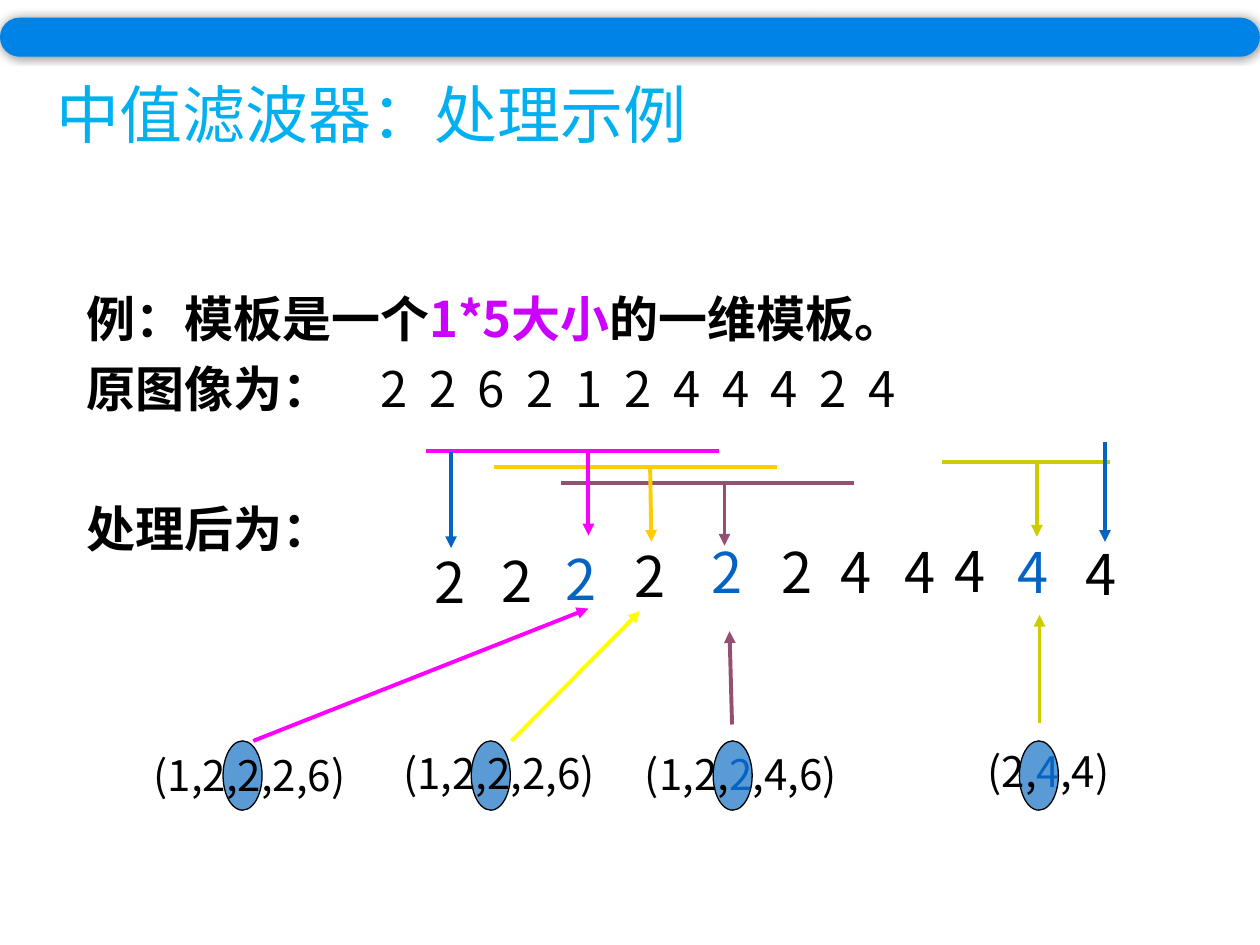
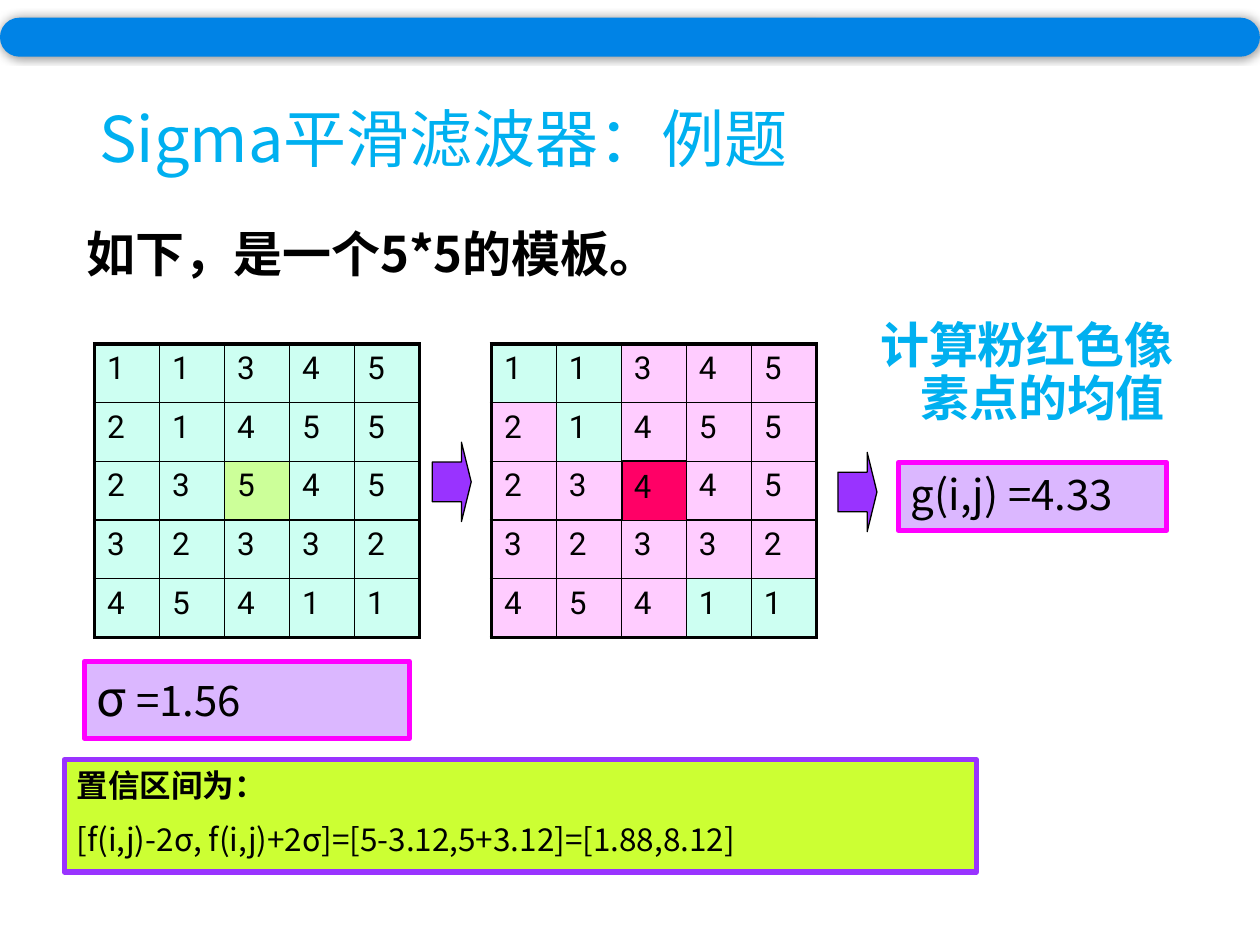
from lxml import etree
from pptx import Presentation
from pptx.dml.color import RGBColor
from pptx.enum import shapes, text
from pptx.oxml.ns import qn
from pptx.util import Inches, Pt

BLACK, SKY, BLUE = "000000", "00B0F0", "0563C1"
MAGENTA, AMBER, YELLOW = "FF00FF", "FFCC00", "FFFF00"
PLUM, OLIVE, PURPLE = "954F72", "CCCC00", "9933FF"
LILAC, MINT, PINK, LIME = "DBB7FF", "CDFFF2", "FFCCFF", "CCFF99"


def colour(code):
    return RGBColor.from_string(code)


def child(parent, tag, **attributes):
    return etree.SubElement(parent, qn(tag), attributes)


class Deck:
    font = "Noto Sans CJK SC"

    def __init__(self):
        self.prs = Presentation()
        self.prs.slide_width, self.prs.slide_height = Inches(10), Inches(7.5)
        self.slide = None

    def new_slide(self):
        self.slide = self.prs.slides.add_slide(self.prs.slide_layouts[6])

    def style(self, paragraph, runs, size, tint=BLACK, bold=False, font=None,
              spacing=None, before=None):
        base = paragraph.font
        base.size, base.bold, base.name = Pt(size), bold, font or self.font
        base.color.rgb = colour(tint)
        child(paragraph._p.pPr.find(qn("a:defRPr")), "a:ea", typeface=font or self.font)
        if spacing:
            paragraph.line_spacing = spacing
        if before:
            paragraph.space_before = Pt(before)
        for words, changes in [(runs, {})] if isinstance(runs, str) else runs:
            run = paragraph.add_run()
            run.text = words
            if "tint" in changes:
                run.font.color.rgb = colour(changes["tint"])
            if "size" in changes:
                run.font.size = Pt(changes["size"])
            if "bold" in changes:
                run.font.bold = changes["bold"]
            if "tracking" in changes:
                run._r.get_or_add_rPr().set("spc", str(changes["tracking"]))
        return paragraph

    def text(self, at, runs, size, anchor=text.MSO_ANCHOR.TOP, **look):
        frame = self.slide.shapes.add_textbox(*map(Inches, at)).text_frame
        frame.word_wrap = True
        frame.vertical_anchor = anchor
        self.style(frame.paragraphs[0], runs, size, **look)
        return frame

    def title(self, at, words):
        self.text(at, words, 36, text.MSO_ANCHOR.MIDDLE, tint=SKY, spacing=0.9)

    def shape(self, kind, at, fill, line=None, width=0.75):
        shape = self.slide.shapes.add_shape(kind, *map(Inches, at))
        shape.shadow.inherit = False
        shape.fill.solid()
        shape.fill.fore_color.rgb = colour(fill)
        if line:
            shape.line.color.rgb = colour(line)
            shape.line.width = Pt(width)
        else:
            shape.line.fill.background()
        return shape

    def box(self, at, fill, line, paragraphs, width=3):
        frame = self.shape(shapes.MSO_SHAPE.RECTANGLE, at, fill, line, width).text_frame
        frame.word_wrap = True
        frame.vertical_anchor = text.MSO_ANCHOR.TOP
        for i, (runs, size, look) in enumerate(paragraphs):
            paragraph = frame.add_paragraph() if i else frame.paragraphs[0]
            paragraph.alignment = text.PP_ALIGN.LEFT
            self.style(paragraph, runs, size, **look)

    def line(self, start, end, tint, arrow=True):
        line = self.slide.shapes.add_connector(
            shapes.MSO_CONNECTOR.STRAIGHT, *map(Inches, start + end))
        line.line.color.rgb = colour(tint)
        line.line.width = Pt(2.25)
        if arrow:
            child(line.line._get_or_add_ln(), "a:tailEnd", type="triangle")
        child(line._element.spPr, "a:effectLst")

    def block_arrow(self, left, top):
        arrow = self.shape(shapes.MSO_SHAPE.RIGHT_ARROW, (left, top, 0.31, 0.63),
                           PURPLE, BLACK)
        arrow.adjustments[0], arrow.adjustments[1] = 0.5, 0.25

    def band(self):
        band = self.shape(shapes.MSO_SHAPE.ROUNDED_RECTANGLE, (0, 0.14, 10, 0.31), "0083E6")
        band.adjustments[0] = 0.5
        effects = band._element.spPr.find(qn("a:effectLst"))
        shadow = child(effects, "a:outerShdw", blurRad=str(Pt(5)), dist="0", dir="0",
                       algn="ctr", rotWithShape="0")
        child(child(shadow, "a:srgbClr", val=BLACK), "a:alpha", val="40000")

    def border(self, cell, side, width):
        line = child(cell._tc.get_or_add_tcPr(), "a:ln" + side, w=str(Pt(width)))
        child(child(line, "a:solidFill"), "a:srgbClr", val=BLACK)

    def pixel_grid(self, left, top, values, fill_at):
        count = len(values)
        table = self.slide.shapes.add_table(
            count, count, Inches(left), Inches(top), Inches(2.58), Inches(2.33)).table
        table.first_row = table.horz_banding = False
        last = count - 1
        for r, row in enumerate(values):
            table.rows[r].height = Inches(2.33 / count)
            table.columns[r].width = Inches(2.58 / count)
            for c, value in enumerate(row):
                cell = table.cell(r, c)
                for side, outer in (("L", c == 0), ("R", c == last),
                                    ("T", r == 0), ("B", r == last)):
                    self.border(cell, side, 2.25 if outer else 1)
                cell.fill.solid()
                cell.fill.fore_color.rgb = colour(fill_at(r, c, value))
                self.style(cell.text_frame.paragraphs[0], value, 18, font="Roboto")


def median_slide(deck):
    deck.new_slide()
    deck.title((0.35, 0.28, 7.64, 1.32), "中值滤波器：处理示例")
    example = deck.text(
        (0.59, 2.1, 8.98, 2.68),
        [("例：模板是一个", {}), ("1*5大小", {"tint": "CC00FF"}), ("的一维模板。", {})],
        28, bold=True, spacing=1.3)
    pixels = " ".join("22621244424")
    deck.style(example.add_paragraph(),
               [("原图像为：　", {}), (pixels, {"bold": False, "tracking": 310})],
               28, bold=True, spacing=0.9, before=10)
    deck.style(example.add_paragraph(), "处理后为：", 28, bold=True, spacing=0.9, before=50)

    for left, right, y, tint in ((3.38, 5.71, 3.58, MAGENTA), (3.92, 6.17, 3.71, AMBER),
                                 (4.45, 6.78, 3.83, PLUM), (7.48, 8.81, 3.67, OLIVE)):
        deck.line((left, y), (right, y), tint, arrow=False)
    for start, end, tint in (
            ((4.67, 3.58), (4.67, 4.25), MAGENTA), ((5.16, 3.72), (5.17, 4.3), AMBER),
            ((2.01, 5.88), (4.67, 4.83), MAGENTA), ((4.06, 5.88), (5.08, 4.85), YELLOW),
            ((5.75, 3.83), (5.75, 4.33), PLUM), ((5.81, 5.75), (5.79, 5.01), PLUM),
            ((3.58, 3.59), (3.58, 4.35), BLUE), ((8.23, 3.67), (8.23, 4.26), OLIVE),
            ((8.25, 5.74), (8.25, 4.88), OLIVE), ((8.77, 3.51), (8.77, 4.3), BLUE)):
        deck.line(start, end, tint)

    filtered = ((3.35, 4.3, "2", BLACK), (3.88, 4.29, "2", BLACK), (4.39, 4.27, "2", BLUE),
                (4.94, 4.25, "2", BLACK), (5.55, 4.22, "2", BLUE), (6.1, 4.22, "2", BLACK),
                (6.57, 4.22, "4", BLACK), (7.08, 4.22, "4", BLACK), (7.48, 4.21, "4", BLACK),
                (7.98, 4.22, "4", BLUE), (8.52, 4.23, "4", BLACK))
    for left, top, value, tint in filtered:
        deck.text((left, top, 0.55, 0.63), value, 32, tint=tint)

    blue = {"tint": BLUE}
    for median_left, left, top, width, window in (
            (1.77, 1.12, 5.9, 1.89, "(1,2,2,2,6)"),
            (3.74, 3.1, 5.88, 1.89, "(1,2,2,2,6)"),
            (5.66, 5.02, 5.89, 1.89, [("(1,2,", {}), ("2", blue), (",4,6)", {})]),
            (8.09, 7.74, 5.87, 1.34, [("(2,", {}), ("4", blue), (",4)", {})])):
        deck.shape(shapes.MSO_SHAPE.OVAL, (median_left, 5.88, 0.31, 0.55), "5B9BD5", BLACK)
        deck.text((left, top, width, 0.5), window, 24)
    deck.band()


def sigma_slide(deck):
    deck.new_slide()
    deck.title((0.69, 0.4, 8.62, 1.45), "Sigma平滑滤波器：例题")
    deck.text((0.59, 1.78, 6.63, 0.82), "如下，是一个5*5的模板。", 28, bold=True, spacing=0.9)

    template = ("11345", "21455", "23545", "32332", "45411")

    def plain(r, c, value):
        return LIME if r == c == 2 else MINT

    def within_interval(r, c, value):
        if r == c == 2:
            return LIME
        return PINK if 1.88 <= int(value) <= 8.12 else MINT

    deck.pixel_grid(0.75, 2.73, template, plain)
    deck.box((0.67, 5.25, 2.58, 0.61), LILAC, MAGENTA,
             [([("σ", {"size": 28}), (" =1.56", {})], 24, {})])
    deck.box((0.51, 6.03, 7.24, 0.89), "CCFF33", PURPLE,
             [("置信区间为：", 18, {"bold": True}),
              ("[f(i,j)-2σ, f(i,j)+2σ]=[5-3.12,5+3.12]=[1.88,8.12]", 18, {"before": 9})])
    deck.block_arrow(3.43, 3.51)
    deck.pixel_grid(3.9, 2.73, template, within_interval)
    deck.block_arrow(6.65, 3.59)
    deck.box((7.13, 3.67, 2.13, 0.54), LILAC, MAGENTA, [("g(i,j) =4.33", 24, {})])
    deck.box((4.94, 3.66, 0.51, 0.47), "FF0066", BLACK, [("4", 18, {})], 0.75)
    deck.band()

    average = deck.text((6.71, 2.5, 2.88, 1.03), "计算粉红色像素点的均值", 28,
                        tint=SKY, bold=True, spacing=0.9).paragraphs[0]
    average.alignment = text.PP_ALIGN.CENTER
    average._p.pPr.set("marL", str(Inches(0.25)))
    average._p.pPr.set("indent", str(Inches(-0.25)))


def main():
    deck = Deck()
    median_slide(deck)
    sigma_slide(deck)
    deck.prs.save("out.pptx")


if __name__ == "__main__":
    main()
